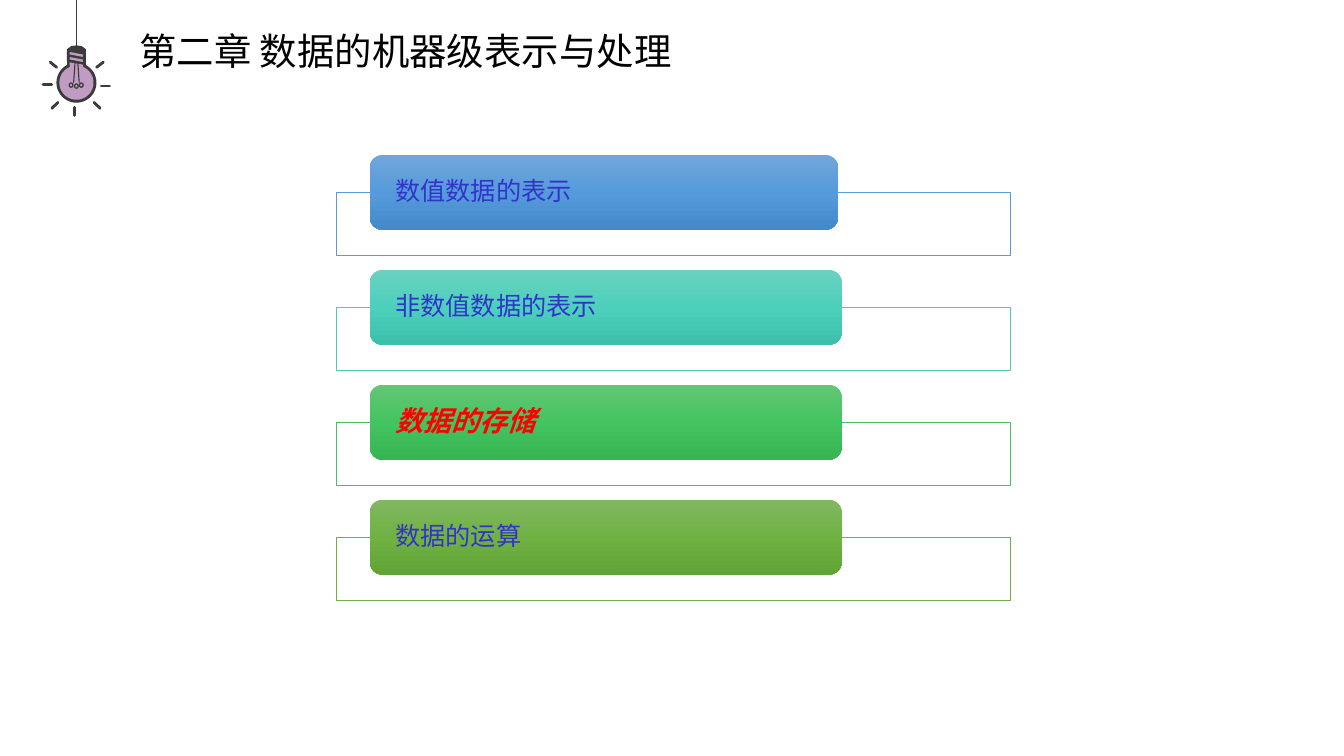
from copy import deepcopy
from math import cos, radians, sin

from lxml.etree import SubElement
from pptx import Presentation
from pptx.dml.color import RGBColor
from pptx.enum.shapes import MSO_CONNECTOR, MSO_SHAPE
from pptx.enum.text import MSO_ANCHOR, MSO_AUTO_SIZE, PP_ALIGN
from pptx.oxml.ns import qn
from pptx.util import Pt

INK = {"dark": "3B3B3B", "bulb": "C09CC2", "white": "FFFFFF",
       "black": "000000", "blue": "3333CC", "red": "FF0000"}
FACE = "Noto Sans CJK SC"
PLAIN = {"size": Pt(18), "name": FACE}
LOUD = {"size": Pt(20), "name": FACE, "bold": True, "italic": True}
ROWS = [
    ("数值数据的表示", 334.5, "5B9BD5", ("71A6DB", "559BDB", "448ACA"), PLAIN, "blue"),
    ("非数值数据的表示", 337, "52CAB8", ("6AD1C0", "4CD0BC", "3CC0AC"), PLAIN, "blue"),
    ("数据的存储", 337, "49BF64", ("64C677", "44C460", "36B552"), LOUD, "red"),
    ("数据的运算", 337, "70AD47", ("81B861", "6FB242", "62A336"), PLAIN, "blue"),
]
RAYS = [(30.8, 60.6, 36.9, 60.6), (72.3, 61.4, 78.3, 61.4),
        (53.2, 76.6, 53.2, 82.5), (35.9, 44.4, 40.5, 48.1),
        (73.8, 44.4, 69, 48.1), (41.4, 73.2, 37, 77.4),
        (67.2, 73.2, 71.6, 77.4)]


def rgb(ink):
    return RGBColor.from_string(INK.get(ink, ink))


def put(item, form):
    for key, value in form.items():
        setattr(item, key, value)


def arc(x, y, size, gap):
    """Return circle points that leave an opening at the top."""
    span = 360 - 2 * gap
    turns = [radians(gap - 90 + span * i / 40) for i in range(41)]
    return [(x + size * cos(t), y + size * sin(t)) for t in turns]


class Deck:
    """Hold the house style and the slide being drawn."""

    def __init__(self):
        self.file = Presentation()
        put(self.file, {"slide_width": Pt(960), "slide_height": Pt(540)})
        self.slide = self.file.slides.add_slide(self.file.slide_layouts[5])
        self.shapes = self.slide.shapes

    def text(self, frame, words, form, ink, anchor, pads):
        sides = ("margin_left", "margin_top", "margin_right", "margin_bottom")
        put(frame, dict(zip(sides, map(Pt, pads))))
        put(frame, {"word_wrap": True, "auto_size": MSO_AUTO_SIZE.NONE,
                    "vertical_anchor": anchor})
        para = frame.paragraphs[0]
        put(para, {"alignment": PP_ALIGN.LEFT, "line_spacing": 0.9})
        run = para.add_run()
        run.text = words
        put(run.font, form)
        run.font.color.rgb = rgb(ink)
        SubElement(run.font._element, qn("a:ea"), typeface=FACE)

    def title(self, words, box):
        head = self.shapes.title
        put(head, dict(zip(("left", "top", "width", "height"), map(Pt, box))))
        self.text(head.text_frame, words, {"size": Pt(26.7), "name": FACE},
                  "black", MSO_ANCHOR.TOP, (7.2, 3.6, 7.2, 3.6))

    def paint(self, shape, fill=None, line=None, width=1):
        shape.shadow.inherit = False
        if fill:
            shape.fill.solid()
            shape.fill.fore_color.rgb = rgb(fill)
        else:
            shape.fill.background()
        if line:
            shape.line.color.rgb = rgb(line)
            shape.line.width = Pt(width)
        else:
            shape.line.fill.background()

    def shape(self, kind, box, **look):
        item = self.shapes.add_shape(kind, *map(Pt, box))
        self.paint(item, **look)
        return item

    def shade(self, shape, inks):
        shape.fill.gradient()
        shape.fill.gradient_angle = 270
        stops = shape._element.spPr.find(".//" + qn("a:gsLst"))
        stops.append(deepcopy(stops[-1]))
        for i, (stop, ink) in enumerate(zip(shape.fill.gradient_stops, inks)):
            stop.position = i / 2
            stop.color.rgb = rgb(ink)

    def form(self, dots, fill):
        dots = [(Pt(x), Pt(y)) for x, y in dots]
        pen = self.shapes.build_freeform(*dots[0])
        pen.add_line_segments(dots[1:], close=True)
        self.paint(pen.convert_to_shape(), fill=fill)

    def line(self, ends, ink, width, cap="flat"):
        item = self.shapes.add_connector(MSO_CONNECTOR.STRAIGHT, *map(Pt, ends))
        item.line.color.rgb = rgb(ink)
        item.line.width = Pt(width)
        item._element.spPr.find(qn("a:ln")).set("cap", cap)
        SubElement(item._element.spPr, qn("a:effectLst"))

    def lamp(self):
        x, y = 54.6, 59.1
        self.form(arc(x, y, 14.3, 28) + [(47.8, 35.2), (50.8, 33), (x, 32.4),
                                         (58.4, 33), (61.4, 35.2)], "dark")
        self.form(arc(x, y, 12.2, 23) + [(49.8, 44.6), (59.2, 46.2)], "bulb")
        for top in (38, 41.6):
            self.line((49.8, top, 59.2, top + 1.8), "bulb", 1.7)
        for side in (-1, 1):
            self.line((x + side, 45, x + 2 * side, 59), "dark", 0.8)
        for left, top in ((49.5, 59.3), (53.3, 60), (56.8, 59.3)):
            self.shape(MSO_SHAPE.OVAL, (left, top, 2.6, 3), line="dark", width=0.9)
        for ray in RAYS:
            self.line(ray, "dark", 2, "rnd")
        self.line((x, 0, x, 35), "dark", 1)

    def row(self, top, words, width, edge, inks, form, ink):
        frame = self.shape(MSO_SHAPE.RECTANGLE, (240, top + 26.7, 482, 45.4),
                           fill="white", line=edge, width=0.5)
        tint = frame._element.spPr.find(qn("a:solidFill"))[0]
        SubElement(tint, qn("a:alpha"), val="90000")
        bar = self.shape(MSO_SHAPE.ROUNDED_RECTANGLE, (264.2, top, width, 53.4))
        self.shade(bar, inks)
        self.text(bar.text_frame, words, form, ink, MSO_ANCHOR.MIDDLE,
                  (15.6, 0, 15.6, 0))


def main():
    deck = Deck()
    deck.lamp()
    deck.title("第二章 数据的机器级表示与处理", (92.2, 20.2, 841, 52.6))
    for i, row in enumerate(ROWS):
        deck.row(110.7 + 82.1 * i, *row)
    deck.file.save("out.pptx")


if __name__ == "__main__":
    main()
